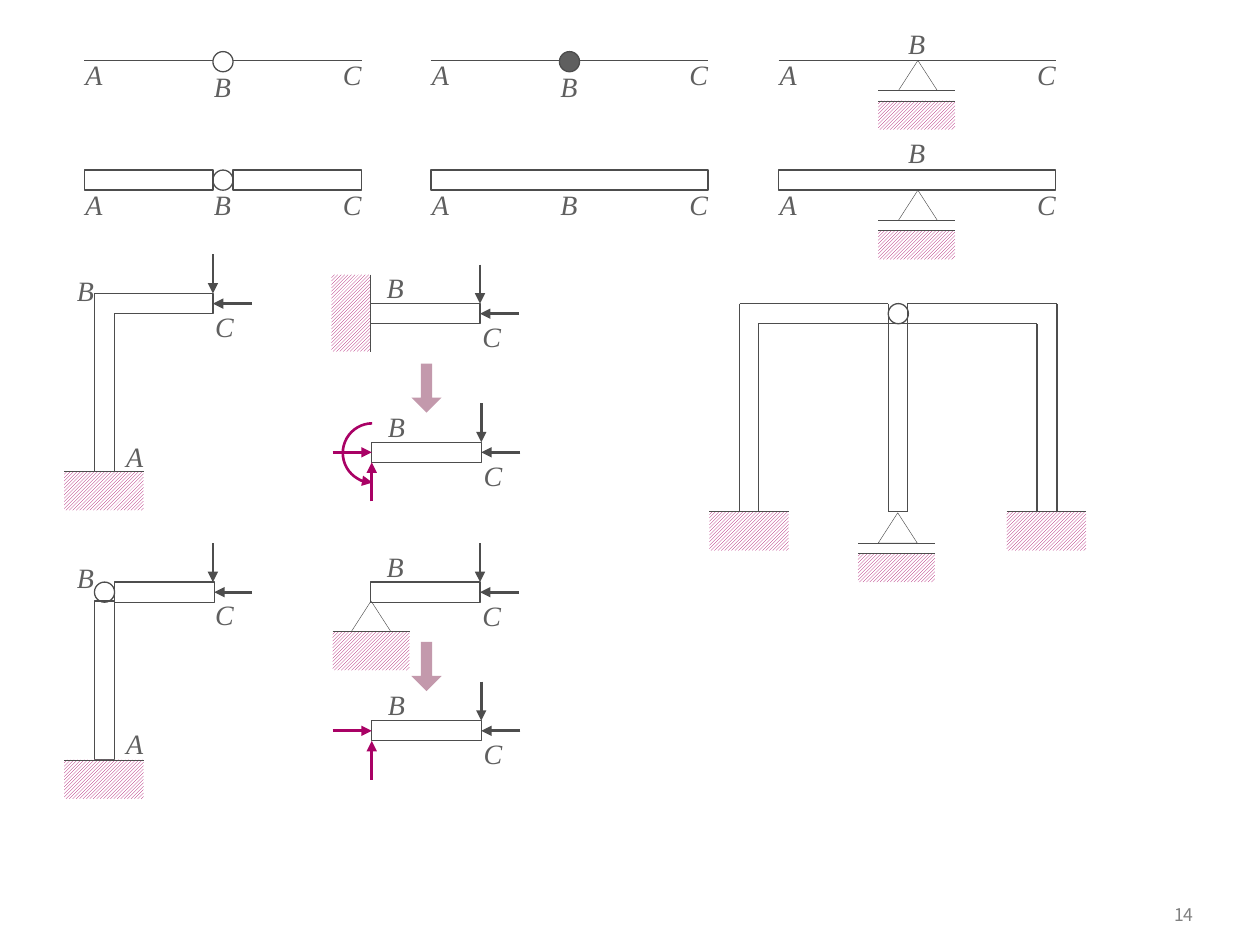
from lxml.etree import SubElement
from pptx import Presentation
from pptx.dml.color import RGBColor
from pptx.enum.dml import MSO_PATTERN
from pptx.enum.shapes import MSO_CONNECTOR, MSO_SHAPE
from pptx.enum.text import MSO_ANCHOR, PP_ALIGN
from pptx.oxml.ns import qn
from pptx.util import Inches, Pt

INK, LABEL, ACCENT, WINE = "4D4D4D", "5F5F5F", "A90165", "6B0131"
THICK = 0.16    # beam depth and hinge diameter
LOAD = 0.31     # arrow length
SPAN = 2.2      # length of beam A-B-C
HAIR = 0.25     # line width of supports


def rgb(value):
    return RGBColor.from_string(value)


def text(g, x, y, w, h, content, size=16, font="Times New Roman", color=LABEL,
         italic=True, align=PP_ALIGN.CENTER, anchor=MSO_ANCHOR.TOP,
         margins=(0, 0, 0, 0)):
    tf = g.add_textbox(Inches(x), Inches(y), Inches(w), Inches(h)).text_frame
    tf.word_wrap = False
    tf.vertical_anchor = anchor
    tf.margin_left, tf.margin_top, tf.margin_right, tf.margin_bottom = map(Inches, margins)
    p = tf.paragraphs[0]
    p.alignment = align
    r = p.add_run()
    r.text = content
    r.font.size, r.font.name, r.font.italic = Pt(size), font, italic
    r.font.color.rgb = rgb(color)


def side_label(g, x, y, w, content):
    text(g, x, y, w, 0.37, content, margins=(0.1, 0.05, 0, 0.05))


def add_arrowhead(shape, end):
    ln = shape._element.spPr.find(qn("a:ln"))
    SubElement(ln, qn(f"a:{end}"), type="triangle")


def line(g, x1, y1, x2, y2, color=INK, width=0.75):
    c = g.add_connector(MSO_CONNECTOR.STRAIGHT, Inches(x1), Inches(y1), Inches(x2), Inches(y2))
    c.line.color.rgb = rgb(color)
    c.line.width = Pt(width)
    SubElement(c._element.spPr, qn("a:effectLst"))
    return c


def arrow(g, x1, y1, x2, y2, color=INK, target=None, side=None):
    c = line(g, x1, y1, x2, y2, color, 1.5)
    add_arrowhead(c, "tailEnd")
    if target is not None:
        c.end_connect(target, side)


def outline(shape, color=INK, width=0.75):
    shape.shadow.inherit = False
    shape.fill.background()
    shape.line.color.rgb = rgb(color)
    shape.line.width = Pt(width)


def shape(g, kind, x, y, w, h, color=INK, width=0.75):
    sp = g.add_shape(kind, Inches(x), Inches(y), Inches(w), Inches(h))
    outline(sp, color, width)
    return sp


def bar(g, x, y, w, h=THICK):
    return shape(g, MSO_SHAPE.RECTANGLE, x, y, w, h)


def hinge(g, x, y):
    return shape(g, MSO_SHAPE.OVAL, x, y, THICK, THICK)


def hatch(g, x, y, w, h):
    sp = bar(g, x, y, w, h)
    sp.line.fill.background()
    sp.fill.patterned()
    sp.fill.pattern = MSO_PATTERN.LIGHT_UPWARD_DIAGONAL
    sp.fill.fore_color.rgb = rgb(ACCENT)
    sp.fill.back_color.rgb = rgb("FFFFFF")
    return sp


def ground(g, x, y, w=0.63, h=0.31):
    hatch(g, x, y, w, h)
    line(g, x, y, x + w, y, width=HAIR)


def pin(g, x, y):
    shape(g, MSO_SHAPE.ISOSCELES_TRIANGLE, x - 0.15, y, 0.31, 0.24, width=HAIR)


def roller(g, x, y):
    pin(g, x, y)
    line(g, x - 0.31, y + 0.24, x + 0.3, y + 0.24, width=HAIR)
    ground(g, x - 0.31, y + 0.32, 0.61, 0.23)


def loads(g, x, y, beam=None):
    """Two forces on the free end C, whose upper corner is (x, y)."""
    arrow(g, x, y - LOAD, x, y)
    mid = y + THICK / 2
    arrow(g, x + LOAD, mid, x, mid, target=beam, side=3)


def cantilever(g, x, y):
    beam = bar(g, x, y, 0.87)
    loads(g, x + 0.87, y, beam)
    side_label(g, x + 0.03, y - 0.31, 0.18, "B")
    side_label(g, x + 0.79, y + 0.08, 0.16, "C")
    return beam


def free_body(g, x, y):
    """Beam BC with its reactions, and the block arrow that leads to it."""
    beam = cantilever(g, x, y)
    mid, bottom = y + THICK / 2, y + THICK
    arrow(g, x - LOAD, mid, x, mid, ACCENT, beam, 1)
    arrow(g, x, bottom + LOAD, x, bottom, ACCENT)
    sp = shape(g, MSO_SHAPE.RIGHT_ARROW, x + 0.24, y - 0.55, 0.39, 0.24)
    sp.rotation = 90
    sp.adjustments[0] = 0.37
    sp.line.fill.background()
    sp.fill.solid()
    sp.fill.fore_color.rgb = rgb(WINE)
    clr = sp._element.spPr.find(qn("a:solidFill")).find(qn("a:srgbClr"))
    SubElement(clr, qn("a:alpha"), val="40000")


def span_labels(g, x, y, y_b):
    for content, dx, top in (("A", -0.08, y), ("C", 1.97, y), ("B", 0.94, y_b)):
        text(g, x + dx, top, 0.31, 0.27, content)


def frame_labels(g, y):
    for content, x, dy in (("A", 0.9, 1.11), ("B", 0.51, -0.21), ("C", 1.61, 0.08)):
        side_label(g, x, y + dy, 0.24, content)


def spans(new_group):
    half = (SPAN - THICK) / 2
    hinged, rigid, supported = 0.67, 3.42, 6.18

    # Line models
    y = 0.48
    g = new_group()
    line(g, hinged, y, hinged + half, y)
    line(g, hinged + half + THICK, y, hinged + SPAN, y)
    hinge(g, hinged + half, 0.41)
    span_labels(g, hinged, 0.46, 0.55)

    g = new_group()
    line(g, rigid, y, rigid + SPAN, y)
    node = hinge(g, rigid + half, 0.41)
    node.fill.solid()
    node.fill.fore_color.rgb = rgb(LABEL)
    span_labels(g, rigid, 0.46, 0.55)

    g = new_group()
    line(g, supported, y, supported + SPAN, y)
    roller(g, supported + SPAN / 2, y)
    span_labels(g, supported, 0.46, 0.21)

    # Beams with depth
    y = 1.35
    g = new_group()
    bar(g, hinged, y, half)
    bar(g, hinged + half + THICK, y, half)
    hinge(g, hinged + half, y)
    span_labels(g, hinged, 1.49, 1.49)

    g = new_group()
    bar(g, rigid, y, SPAN)
    span_labels(g, rigid, 1.49, 1.49)

    g = new_group()
    bar(g, supported, y, SPAN)
    roller(g, supported + SPAN / 2, y + THICK)
    span_labels(g, supported, 1.49, 1.08)


def rigid_frame(g):
    points = [(0.91, 3.75), (0.91, 2.49), (1.69, 2.49), (1.69, 2.33), (0.75, 2.33), (0.75, 3.75)]
    start, *rest = [(Inches(x), Inches(y)) for x, y in points]
    fb = g.build_freeform(*start)
    fb.add_line_segments(rest, close=True)
    outline(fb.convert_to_shape())
    loads(g, 1.69, 2.33)
    ground(g, 0.51, 3.74)
    frame_labels(g, 2.33)

    # Fixed end and its free body with a moment
    cantilever(g, 2.94, 2.41)
    hatch(g, 2.48, 2.33, 0.61, 0.31).rotation = 90
    line(g, 2.94, 2.18, 2.94, 2.79, width=HAIR)
    free_body(g, 2.95, 3.51)
    moment = shape(g, MSO_SHAPE.ARC, 2.72, 3.36, 0.47, 0.47, ACCENT, 1.5)
    moment.rotation = 180
    moment.adjustments[0], moment.adjustments[1] = 162, 53.72
    add_arrowhead(moment, "headEnd")


def hinged_frame(g):
    bar(g, 0.75, 4.77, THICK, 1.26)
    arm = bar(g, 0.91, 4.62, 0.79)
    hinge(g, 0.75, 4.62)
    loads(g, 1.69, 4.62, arm)
    ground(g, 0.51, 6.03)
    frame_labels(g, 4.61)

    # Pinned end and its free body
    cantilever(g, 2.94, 4.62)
    ground(g, 2.64, 5.01, 0.61)
    pin(g, 2.94, 4.77)
    free_body(g, 2.95, 5.72)


def portal(g):
    top, under, foot = 2.41, 2.57, 4.06
    left, left_in, mid, mid_in, right_in, right = 5.87, 6.02, 7.05, 7.2, 8.23, 8.39
    for x, y1, y2 in ((left, top, foot), (left_in, under, foot), (mid, top, under),
                      (mid, under, foot), (mid_in, top, under), (mid_in, under, foot),
                      (right_in, under, foot), (right, top, foot)):
        line(g, x, y1, x, y2)
    for y, x1, x2 in ((top, left, mid), (top, mid_in, right), (under, left_in, mid),
                      (under, mid, mid_in), (under, mid_in, right_in),
                      (foot, left, left_in), (foot, mid, mid_in), (foot, right_in, right)):
        line(g, x1, y, x2, y)
    hinge(g, mid, top)
    roller(g, 7.12, 4.07)
    for x in (5.63, 7.99):
        ground(g, x, foot)


def main():
    prs = Presentation()
    prs.slide_width, prs.slide_height = Inches(10), Inches(7.5)
    s = prs.slides.add_slide(prs.slide_layouts[6])

    def new_group():
        return s.shapes.add_group_shape().shapes

    text(s.shapes, 8.86, 7.09, 0.71, 0.33, "14", size=10, font="Noto Sans CJK KR",
         color="808080", italic=False, align=PP_ALIGN.RIGHT, anchor=MSO_ANCHOR.MIDDLE,
         margins=(0.1, 0.05, 0.1, 0.05))
    spans(new_group)
    for draw in (rigid_frame, hinged_frame, portal):
        draw(new_group())
    prs.save("out.pptx")


if __name__ == "__main__":
    main()
